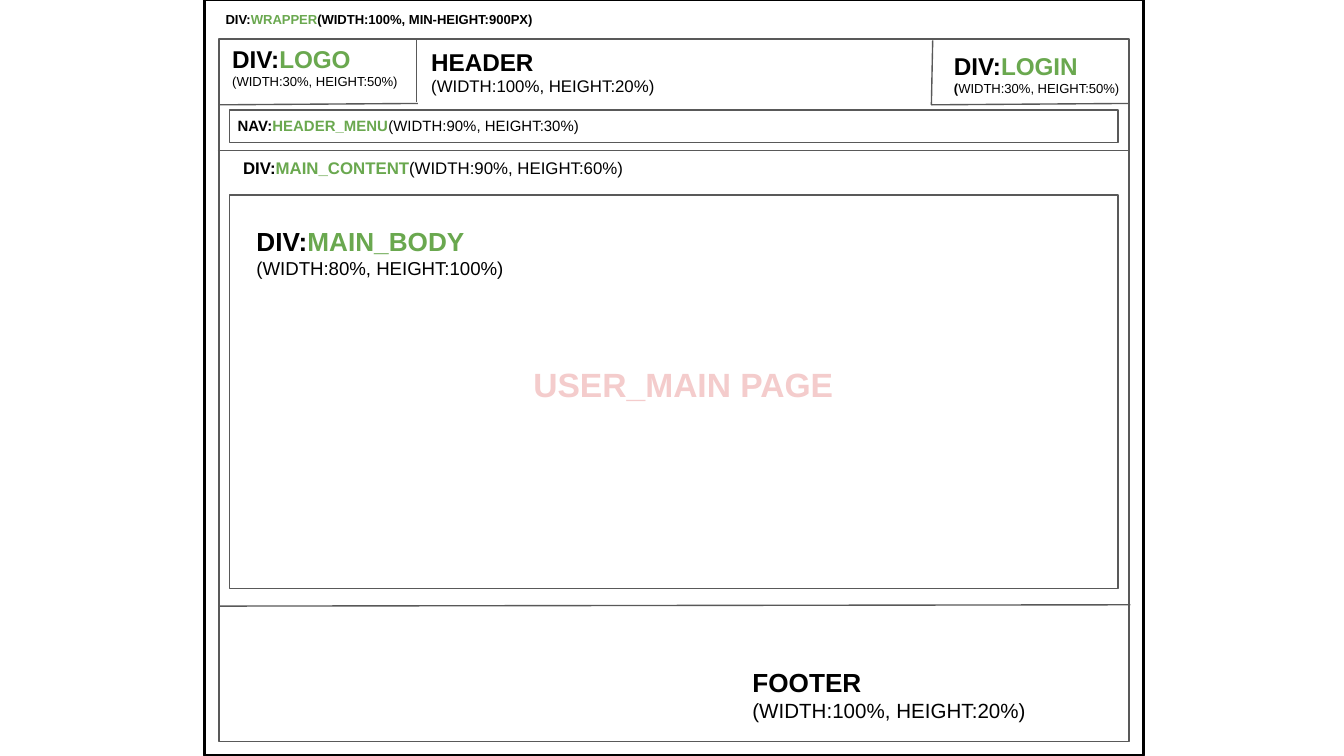
from pptx import Presentation
from pptx.dml.color import RGBColor
from pptx.enum.shapes import MSO_CONNECTOR, MSO_SHAPE
from pptx.enum.text import MSO_ANCHOR, PP_ALIGN
from pptx.oxml.ns import qn
from pptx.util import Inches, Pt

RECTANGLE = MSO_SHAPE.RECTANGLE
STRAIGHT = MSO_CONNECTOR.STRAIGHT
TOP = MSO_ANCHOR.TOP
LEFT = PP_ALIGN.LEFT
BLACK = RGBColor(0x00, 0x00, 0x00)
WHITE = RGBColor(0xFF, 0xFF, 0xFF)
GRAY = RGBColor(0x59, 0x59, 0x59)
GREEN = RGBColor(0x6A, 0xA8, 0x4F)
PINK = RGBColor(0xF4, 0xCC, 0xCC)
FONT = "Arial"
PAGE_WIDTH = 10
PAGE_HEIGHT = PAGE_WIDTH * 9 / 16


def add_frame(page, left, top, width, height, color=GRAY, weight=0.75):
    """Add a white rectangle, outlined unless color is None."""
    box = page.shapes.add_shape(
        RECTANGLE, Inches(left), Inches(top), Inches(width), Inches(height))
    box.shadow.inherit = False
    box.fill.solid()
    box.fill.fore_color.rgb = WHITE
    if color is None:
        box.line.fill.background()
    else:
        box.line.color.rgb = color
        box.line.width = Pt(weight)
    return box


def add_divider(page, x1, y1, x2, y2):
    """Add a thin gray line between two points."""
    line = page.shapes.add_connector(
        STRAIGHT, Inches(x1), Inches(y1), Inches(x2), Inches(y2))
    line.line.color.rgb = GRAY
    line.line.width = Pt(0.75)
    properties = line._element.spPr
    properties.append(properties.makeelement(qn("a:effectLst"), {}))


def write_label(box, *lines):
    """Write lines of (text, size, color, bold) spans into a box."""
    frame = box.text_frame
    frame.word_wrap = True
    frame.vertical_anchor = TOP
    frame.margin_left = frame.margin_right = Inches(0.1)
    frame.margin_top = frame.margin_bottom = Inches(0.1)
    for index, spans in enumerate(lines):
        para = frame.add_paragraph() if index else frame.paragraphs[0]
        para.alignment = LEFT
        for text, size, color, bold in spans:
            span = para.add_run()
            span.text = text
            span.font.name = FONT
            span.font.size = Pt(size)
            span.font.color.rgb = color
            span.font.bold = bold


def add_label(page, left, top, width, height, *lines):
    """Add a text box holding the given lines."""
    box = page.shapes.add_textbox(
        Inches(left), Inches(top), Inches(width), Inches(height))
    write_label(box, *lines)


def element_name(tag, name, size):
    """Return the spans of a black tag and its green name."""
    return [(tag, size, BLACK, True), (name, size, GREEN, True)]


def dimensions(text, size, bold=False):
    """Return the span that states an element's dimensions."""
    return [(text, size, BLACK, bold)]


def main():
    """Build the page layout wireframe."""
    deck = Presentation()
    deck.slide_width, deck.slide_height = Inches(PAGE_WIDTH), Inches(PAGE_HEIGHT)
    page = deck.slides.add_slide(deck.slide_layouts[6])

    add_frame(page, 1.52, 0, 6.99, PAGE_HEIGHT, BLACK, 1.5)
    add_frame(page, 1.63, 0.29, 6.77, 5.23)
    add_frame(page, 1.71, 1.45, 6.61, 2.93)
    add_frame(page, 1.71, 0.82, 6.61, 0.24)
    for ends in [
        (1.62, 1.12, 8.41, 1.12),
        (1.63, 4.51, 8.41, 4.5),
        (3.1, 0.3, 3.1, 0.76),
        (3.11, 0.77, 1.63, 0.78),
        (8.4, 0.77, 6.93, 0.78),
        (6.94, 0.3, 6.93, 0.78),
    ]:
        add_divider(page, *ends)

    add_label(page, 1.58, 0.03, 4.82, 0.32,
              element_name("DIV:", "WRAPPER", 7)
              + dimensions("(WIDTH:100%, MIN-HEIGHT:900PX)", 7, True))
    add_label(page, 1.63, 0.23, 1.6, 0.52,
              element_name("DIV:", "LOGO", 13),
              dimensions("(WIDTH:30%, HEIGHT:50%)", 7))
    add_label(page, 3.11, 0.25, 4.39, 0.24,
              [("HEADER", 13, BLACK, True)],
              dimensions("(WIDTH:100%, HEIGHT:20%)", 9))
    add_label(page, 7, 0.28, 1.6, 0.52,
              element_name("DIV:", "LOGIN", 13),
              dimensions("(", 7, True) + dimensions("WIDTH:30%, HEIGHT:50%)", 7))
    add_label(page, 1.67, 0.8, 4.56, 0.34,
              element_name("NAV:", "HEADER_MENU", 8)
              + dimensions("(WIDTH:90%, HEIGHT:30%)", 8))
    add_label(page, 1.71, 1.1, 4.82, 0.35,
              element_name("DIV:", "MAIN_CONTENT", 9)
              + dimensions("(WIDTH:90%, HEIGHT:60%)", 9))
    add_label(page, 3.87, 2.61, 3.63, 1.1,
              [("USER_MAIN PAGE", 18, PINK, True)])
    add_label(page, 5.5, 4.86, 3.97, 0.58,
              [("FOOTER", 14, BLACK, True)],
              dimensions("(WIDTH:100%, HEIGHT:20%)", 11))
    main_body = add_frame(page, 1.81, 1.58, 2.57, 0.52, None)
    write_label(main_body,
                element_name("DIV:", "MAIN_BODY", 14),
                dimensions("(WIDTH:80%, HEIGHT:100%)", 10))

    deck.save("out.pptx")


if __name__ == "__main__":
    main()
